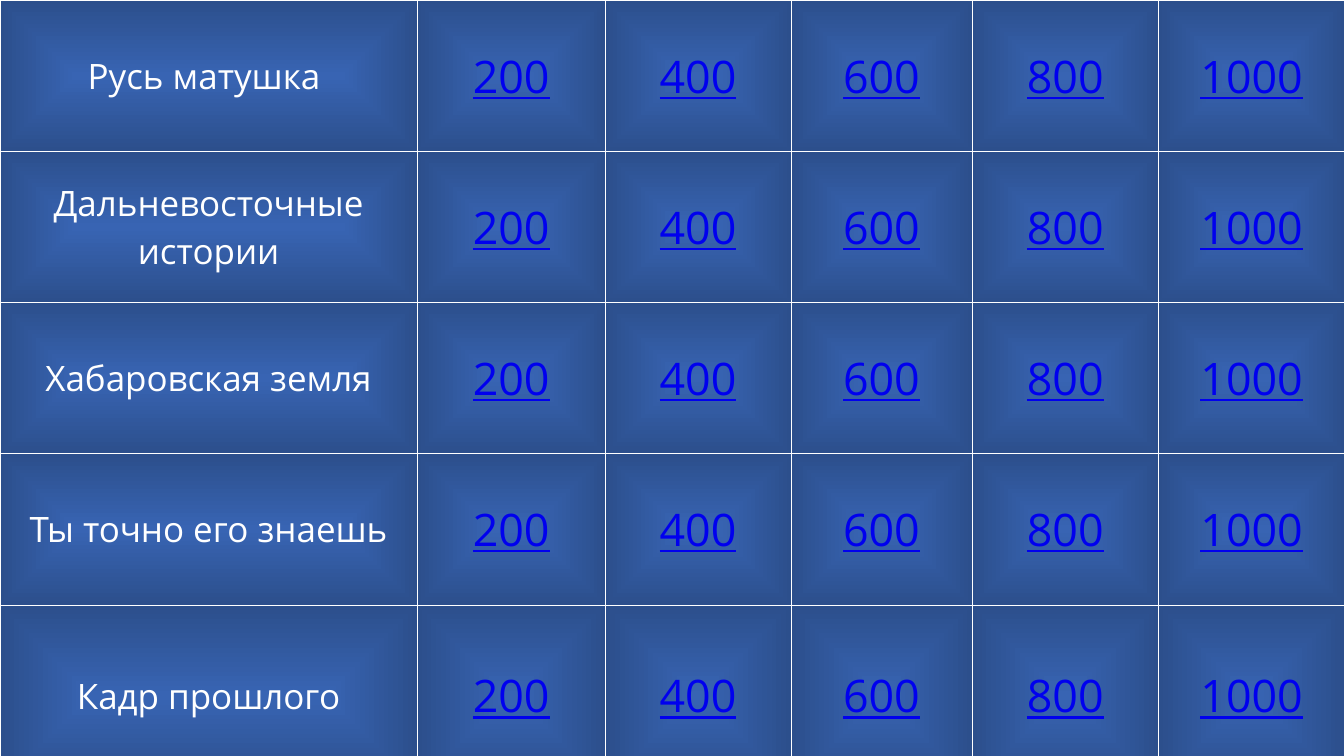
from dataclasses import dataclass

from lxml import etree
from pptx import Presentation
from pptx import util as u
from pptx.dml import color, fill
from pptx.enum import text
from pptx.oxml import ns
from pptx.table import _Cell

FONT = "Open Sans"
CATEGORIES = [
    "Русь матушка ",
    "Дальневосточные истории",
    "Хабаровская земля",
    "Ты точно его знаешь",
    "Кадр прошлого",
]
PRICES = ["200", "400", "600", "800", "1000"]
COLUMN_WIDTHS = [4.14, 1.87, 1.84, 1.8, 1.85, 1.85]
ROW_HEIGHTS = [1.5, 1.5, 1.5, 1.5, 1.8]
BORDER_SIDES = ["lnL", "lnR", "lnT", "lnB"]
BORDER_WIDTH = 0.45


@dataclass(frozen=True)
class CellStyle:
    size: float
    color: str
    underline: bool


CATEGORY_STYLE = CellStyle(25, "FFFFFF", False)
PRICE_STYLE = CellStyle(32, "0000EE", True)


def rgb(value: str) -> color.RGBColor:
    return color.RGBColor.from_string(value)


def set_gradient(target: fill.FillFormat, first: str, last: str) -> None:
    target.gradient()
    for stop, value in zip(target.gradient_stops, (first, last)):
        stop.color.rgb = rgb(value)


def set_rectangular_gradient(cell: _Cell, center: str, edge: str) -> None:
    set_gradient(cell.fill, center, edge)
    properties = cell._tc.get_or_add_tcPr()
    gradient = properties.find(ns.qn("a:gradFill"))
    gradient.remove(gradient.find(ns.qn("a:lin")))
    shade = etree.SubElement(gradient, ns.qn("a:path"), {"path": "rect"})
    etree.SubElement(shade, ns.qn("a:fillToRect"), dict.fromkeys("ltrb", "50000"))


def set_borders(cell: _Cell, value: str) -> None:
    properties = cell._tc.get_or_add_tcPr()
    for position, side in enumerate(BORDER_SIDES):
        line = etree.Element(ns.qn(f"a:{side}"), {"w": str(u.Pt(BORDER_WIDTH))})
        solid = etree.SubElement(line, ns.qn("a:solidFill"))
        etree.SubElement(solid, ns.qn("a:srgbClr"), {"val": value})
        properties.insert(position, line)


def fill_cell(cell: _Cell, content: str, style: CellStyle) -> None:
    cell.text = content
    cell.vertical_anchor = text.MSO_ANCHOR.MIDDLE
    paragraph = cell.text_frame.paragraphs[0]
    paragraph.alignment = text.PP_ALIGN.CENTER
    font = paragraph.font
    font.name = FONT
    font.size = u.Pt(style.size)
    font.underline = style.underline
    font.color.rgb = rgb(style.color)
    set_rectangular_gradient(cell, "3864B3", "2C4F8C")
    set_borders(cell, "FFFFFF")


def main() -> None:
    presentation = Presentation()
    presentation.slide_width = u.Inches(13.34)
    presentation.slide_height = u.Inches(7.5)
    slide = presentation.slides.add_slide(presentation.slide_layouts[6])
    background = slide.background.fill
    set_gradient(background, "BFBFBF", "000000")
    background.gradient_angle = 270

    shape = slide.shapes.add_table(
        len(ROW_HEIGHTS), len(COLUMN_WIDTHS), 0, 0,
        u.Inches(sum(COLUMN_WIDTHS)), u.Inches(sum(ROW_HEIGHTS)),
    )
    table = shape.table
    table.first_row = False
    table.horz_banding = False
    for column, width in zip(table.columns, COLUMN_WIDTHS):
        column.width = u.Inches(width)
    for row, height, category in zip(table.rows, ROW_HEIGHTS, CATEGORIES):
        row.height = u.Inches(height)
        category_cell, *price_cells = row.cells
        fill_cell(category_cell, category, CATEGORY_STYLE)
        for cell, price in zip(price_cells, PRICES):
            fill_cell(cell, price, PRICE_STYLE)

    presentation.save("out.pptx")


if __name__ == "__main__":
    main()
